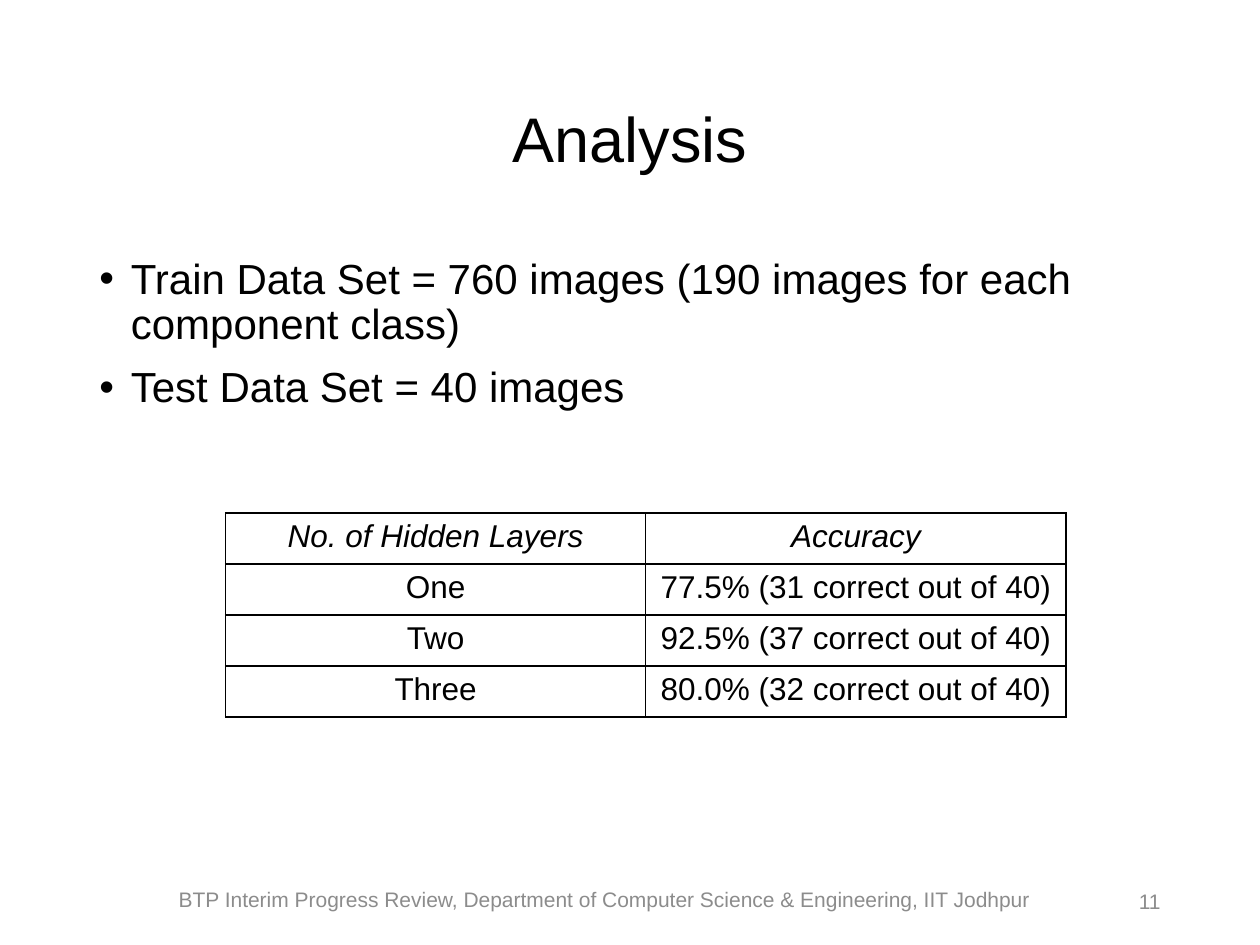
from lxml.etree import SubElement
from pptx import Presentation
from pptx.dml.color import RGBColor
from pptx.enum.text import MSO_ANCHOR, PP_ALIGN
from pptx.oxml.ns import qn
from pptx.util import Inches, Pt

BLACK = RGBColor(0x00, 0x00, 0x00)
GREY = RGBColor(0x8C, 0x8C, 0x8C)

BULLETS = [
    "Train Data Set = 760 images (190 images for each component class)",
    "Test Data Set = 40 images",
]
RESULTS = [
    ("No. of Hidden Layers", "Accuracy"),
    ("One", "77.5% (31 correct out of 40)"),
    ("Two", "92.5% (37 correct out of 40)"),
    ("Three", "80.0% (32 correct out of 40)"),
]
FOOTER = "BTP Interim Progress Review, Department of Computer Science & Engineering, IIT Jodhpur"


def write(p, text, size=18, color=BLACK, font="Arial", italic=False,
          align=PP_ALIGN.LEFT, line=1.0, before=0):
    p.alignment = align
    p.line_spacing = line
    p.space_before = Pt(before)
    r = p.add_run()
    r.text = text
    r.font.name = font
    r.font.size = Pt(size)
    r.font.italic = italic
    r.font.color.rgb = color


def add_bullet(p, indent=0.25):
    pPr = p._p.get_or_add_pPr()
    pPr.set("marL", str(Inches(indent)))
    pPr.set("indent", str(-Inches(indent)))
    SubElement(pPr, qn("a:buFont"), typeface="Arial")
    SubElement(pPr, qn("a:buChar"), char="•")


def add_borders(cell, width=1):
    tcPr = cell._tc.get_or_add_tcPr()
    for index, side in enumerate(("lnL", "lnR", "lnT", "lnB")):
        ln = tcPr.makeelement(qn(f"a:{side}"), {"w": str(Pt(width))})
        fill = SubElement(ln, qn("a:solidFill"))
        SubElement(fill, qn("a:srgbClr"), val=str(BLACK))
        tcPr.insert(index, ln)


class SlideBuilder:
    def __init__(self, slide):
        self.s = slide

    def text(self, x, y, w, h, lines, anchor=MSO_ANCHOR.MIDDLE, bullets=False, **style):
        box = self.s.shapes.add_textbox(Inches(x), Inches(y), Inches(w), Inches(h))
        tf = box.text_frame
        tf.word_wrap = True
        tf.vertical_anchor = anchor
        for i, line in enumerate(lines):
            p = tf.paragraphs[0] if i == 0 else tf.add_paragraph()
            write(p, line, **style)
            if bullets:
                add_bullet(p)

    def table(self, x, y, w, h, rows):
        """Plain bordered table with an italic header row."""
        frame = self.s.shapes.add_table(len(rows), len(rows[0]), Inches(x),
                                        Inches(y), Inches(w), Inches(h))
        table = frame.table
        table.first_row = table.horz_banding = False
        for i, row in enumerate(rows):
            for j, value in enumerate(row):
                cell = table.cell(i, j)
                cell.fill.background()
                add_borders(cell)
                write(cell.text_frame.paragraphs[0], value,
                      italic=i == 0, align=PP_ALIGN.CENTER)


def main():
    prs = Presentation()
    prs.slide_width, prs.slide_height = Inches(10), Inches(7.5)
    page = SlideBuilder(prs.slides.add_slide(prs.slide_layouts[6]))

    page.text(0.69, 0.4, 8.62, 1.45, ["Analysis"], size=36,
              align=PP_ALIGN.CENTER, line=0.9)
    page.text(0.69, 2, 8.62, 1.42, BULLETS, anchor=MSO_ANCHOR.TOP,
              bullets=True, size=24, line=0.9, before=10)
    page.table(1.79, 4.07, 6.67, 1.62, RESULTS)
    page.text(0.81, 6.94, 7.98, 0.4, [FOOTER], size=12, color=GREY,
              align=PP_ALIGN.CENTER)
    page.text(7.06, 6.95, 2.25, 0.4, ["11"], size=12, color=GREY,
              align=PP_ALIGN.RIGHT)

    prs.save("out.pptx")


if __name__ == "__main__":
    main()
